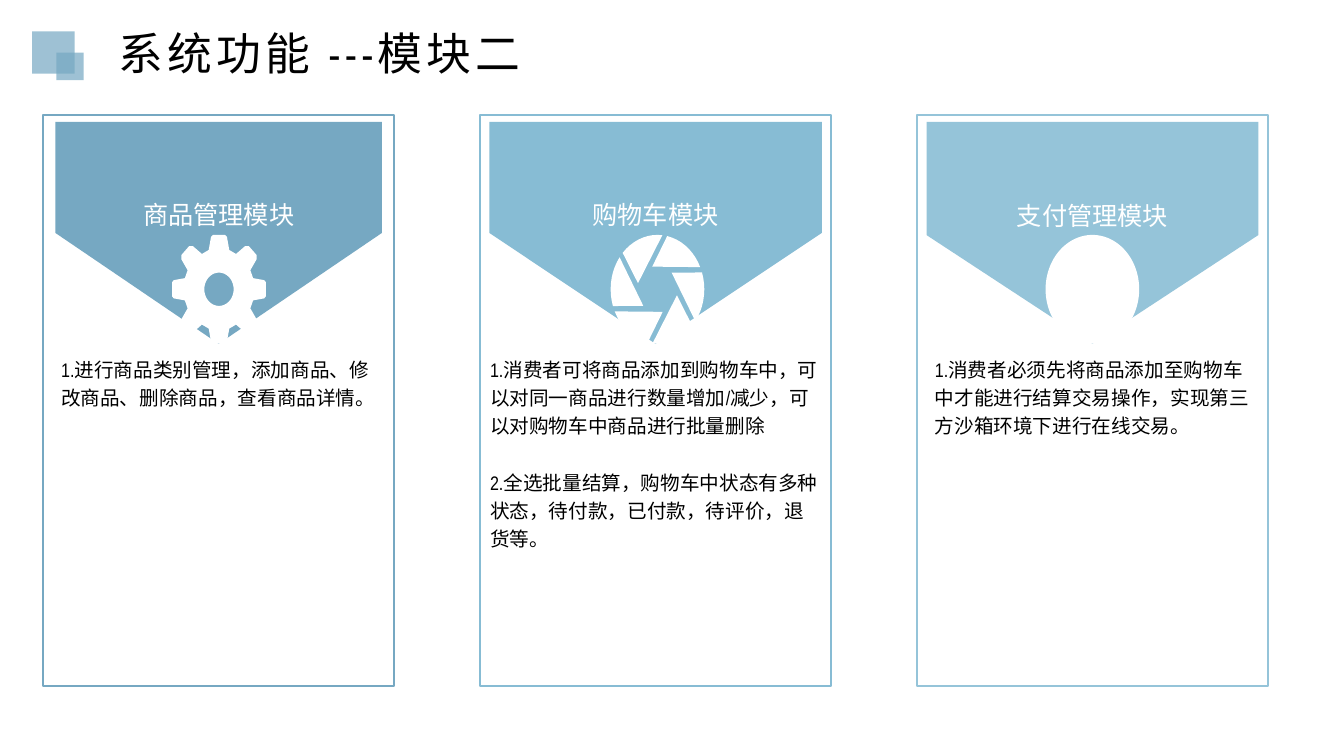
from dataclasses import dataclass
from math import cos, radians, sin
from typing import Callable

from lxml import etree
from pptx import Presentation
from pptx.dml.color import RGBColor
from pptx.enum.shapes import MSO_SHAPE
from pptx.enum.text import MSO_ANCHOR, MSO_AUTO_SIZE, PP_ALIGN
from pptx.oxml.ns import qn
from pptx.util import Cm, Pt

RECT, PLATE, OVAL = MSO_SHAPE.RECTANGLE, MSO_SHAPE.PENTAGON, MSO_SHAPE.OVAL
TOP, MIDDLE = MSO_ANCHOR.TOP, MSO_ANCHOR.MIDDLE
LEFT, CENTER = PP_ALIGN.LEFT, PP_ALIGN.CENTER
NO_FIT = MSO_AUTO_SIZE.NONE

FONT = "Arial Narrow"
BLUE, WHITE, BLACK = "76A8C2", "FFFFFF", "000000"

# All lengths are in centimetres
CARD_X, CARD_Y, CARD_W, CARD_H, STEP = 1.09, 2.9, 8.84, 14.38, 11.01
FLAG_LEN, FLAG_MID = 5.59, 5.87
ICON_RX, ICON_RY, ICON_Y = 1.18, 1.37, 7.29

# One quarter of the gear's outline, from the top tooth to the side tooth
TEETH = [(.15, 1.37), (.2, 1.32), (.26, .99), (.43, .89), (.66, 1.09), (.75, 1.09),
         (.95, .86), (.95, .76), (.79, .48), (.86, .28), (1.14, .23), (1.18, .18)]

Loop = list[tuple[float, float]]


@dataclass
class Card:
    name: str
    notes: list[str]
    color: str
    flag: float
    point: float
    pad: float
    icon_x: float
    icon: Callable[[float], None]


def rgb(code: str) -> RGBColor:
    return RGBColor.from_string(code)


def paint(shape, fill: str | None, line: str | None = None) -> None:
    shape.shadow.inherit = False
    if fill:
        shape.fill.solid()
        shape.fill.fore_color.rgb = rgb(fill)
    else:
        shape.fill.background()
    if line:
        shape.line.color.rgb = rgb(line)
        shape.line.width = Pt(1.5)
    else:
        shape.line.fill.background()


def block(kind, x: float, y: float, w: float, h: float,
          fill: str | None, line: str | None = None):
    shape = slide.shapes.add_shape(kind, Cm(x), Cm(y), Cm(w), Cm(h))
    paint(shape, fill, line)
    return shape


def style(para, size: float, color: str, align) -> None:
    para.alignment = align
    para.font.name = FONT
    para.font.size = Pt(size)
    para.font.color.rgb = rgb(color)


def arc(rx: float, ry: float, start: int, end: int, step: int) -> Loop:
    return [(rx * cos(radians(a)), ry * sin(radians(a)))
            for a in range(start, end, step)]


def outline(x: float, loops: list[Loop]) -> None:
    """Draw closed loops around an icon centre as one white shape."""
    paths = [[(Cm(x + dx), Cm(ICON_Y + dy)) for dx, dy in loop] for loop in loops]
    pen = slide.shapes.build_freeform(*paths[0][0])
    for path in paths:
        pen.move_to(*path[0])
        pen.add_line_segments(path[1:], close=True)
    paint(pen.convert_to_shape(), WHITE)


def gear(x: float) -> None:
    half = [(dx, -dy) for dx, dy in TEETH] + TEETH[::-1]
    rim = half + [(-dx, dy) for dx, dy in half[::-1]]
    outline(x, [rim, arc(.37, .42, 0, 360, 10)])


def shutter(x: float) -> None:
    blades = []
    for turn in range(0, 360, 60):
        hub = arc(ICON_RX * .43, ICON_RY * .43, turn + 195, turn + 196, 1)
        blades.append(arc(ICON_RX, ICON_RY, turn + 222, turn + 277, 6) + hub)
    outline(x, blades)


def disc(x: float) -> None:
    block(OVAL, x - ICON_RX, ICON_Y - ICON_RY, 2 * ICON_RX, 2 * ICON_RY, WHITE)


def draw(card: Card, x: float) -> None:
    panel = block(RECT, x, CARD_Y, CARD_W, CARD_H, None, card.color)
    body = panel.text_frame
    body.word_wrap = True
    body.vertical_anchor = TOP
    body.margin_left, body.margin_top = Cm(card.pad), Cm(6)
    body.text = "\n".join(card.notes)
    for i, para in enumerate(body.paragraphs):
        style(para, 14, BLACK, LEFT)
        para.line_spacing = 1.2
        if i:
            para.space_before = Pt(20)

    mid = x + CARD_W / 2
    flag = block(PLATE, mid - FLAG_LEN / 2, FLAG_MID - card.flag / 2,
                 FLAG_LEN, card.flag, card.color)
    flag.rotation = 90
    flag.adjustments[0] = card.point
    head = flag.text_frame
    head.word_wrap = False
    head.vertical_anchor = MIDDLE
    head.margin_left = Cm(.61)
    head.text = card.name
    style(head.paragraphs[0], 18, WHITE, CENTER)
    flag.element.txBody.find(qn("a:bodyPr")).set("vert", "vert270")
    card.icon(card.icon_x)


CARDS = [
    Card("商品管理模块",
         ["1.进行商品类别管理，添加商品、修改商品、删除商品，查看商品详情。"],
         BLUE, 8.23, .5, .45, 5.52, gear),
    Card("购物车模块",
         ["1.消费者可将商品添加到购物车中，可以对同一商品进行数量增加/减少，"
          "可以对购物车中商品进行批量删除",
          "2.全选批量结算，购物车中状态有多种状态，待付款，已付款，待评价，退货等。"],
         "87BCD4", 8.38, .5, .25, 16.57, shutter),
    Card("支付管理模块",
         ["1.消费者必须先将商品添加至购物车中才能进行结算交易操作，"
          "实现第三方沙箱环境下进行在线交易。"],
         "95C4D9", 8.36, .49, .45, 27.53, disc),
]

deck = Presentation()
deck.slide_width, deck.slide_height = Cm(33.87), Cm(19.05)
slide = deck.slides.add_slide(deck.slide_layouts[5])

title = slide.shapes.title
title.left, title.top, title.width, title.height = Cm(2.72), Cm(.51), Cm(13.49), Cm(1.63)
frame = title.text_frame
frame.auto_size = NO_FIT
frame.vertical_anchor = TOP
frame.text = "系统功能 ---模块二"
style(frame.paragraphs[0], 32, BLACK, LEFT)
frame.paragraphs[0].runs[0].font._element.set("spc", "300")

for x, y, side in [(.81, .79, 1.07), (1.42, 1.33, .69)]:
    square = block(RECT, x, y, side, side, BLUE)
    tint = square.element.spPr.find(qn("a:solidFill"))[0]
    etree.SubElement(tint, qn("a:alpha")).set("val", "70000")

for i, card in enumerate(CARDS):
    draw(card, CARD_X + i * STEP)

deck.save("out.pptx")
